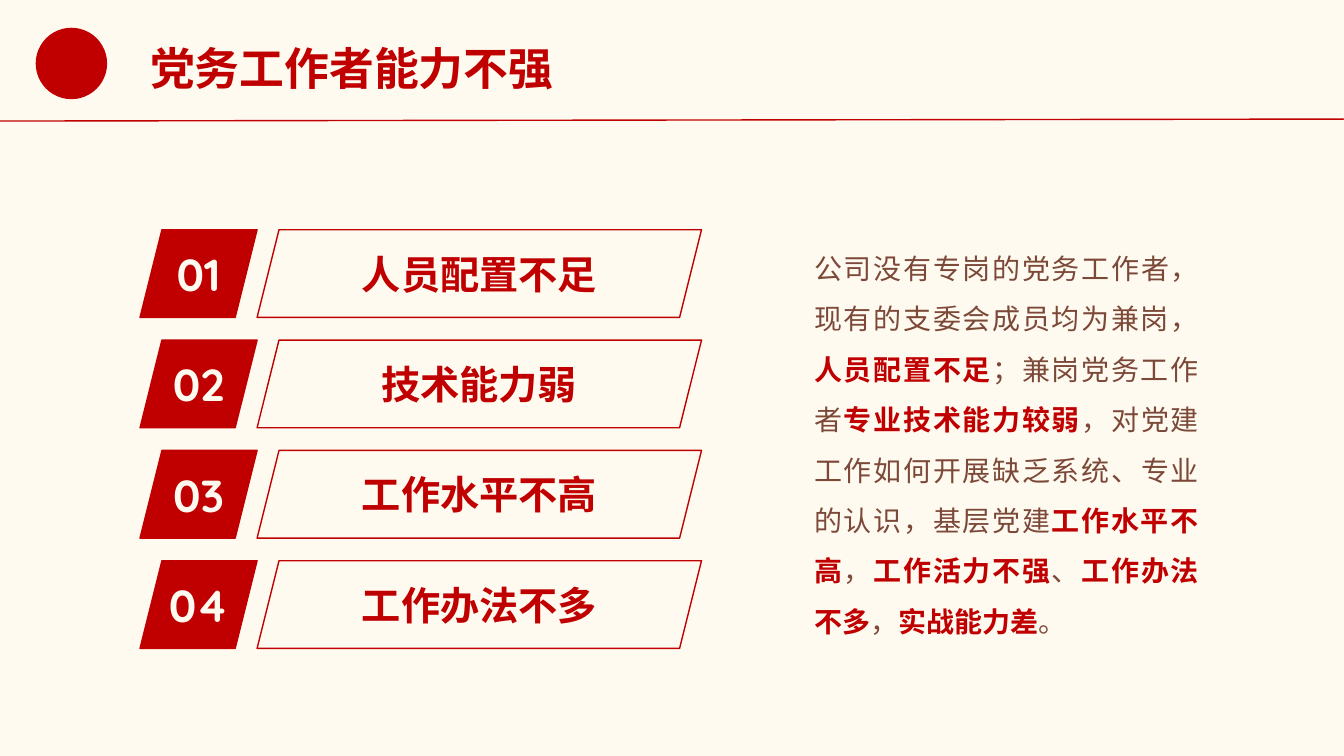
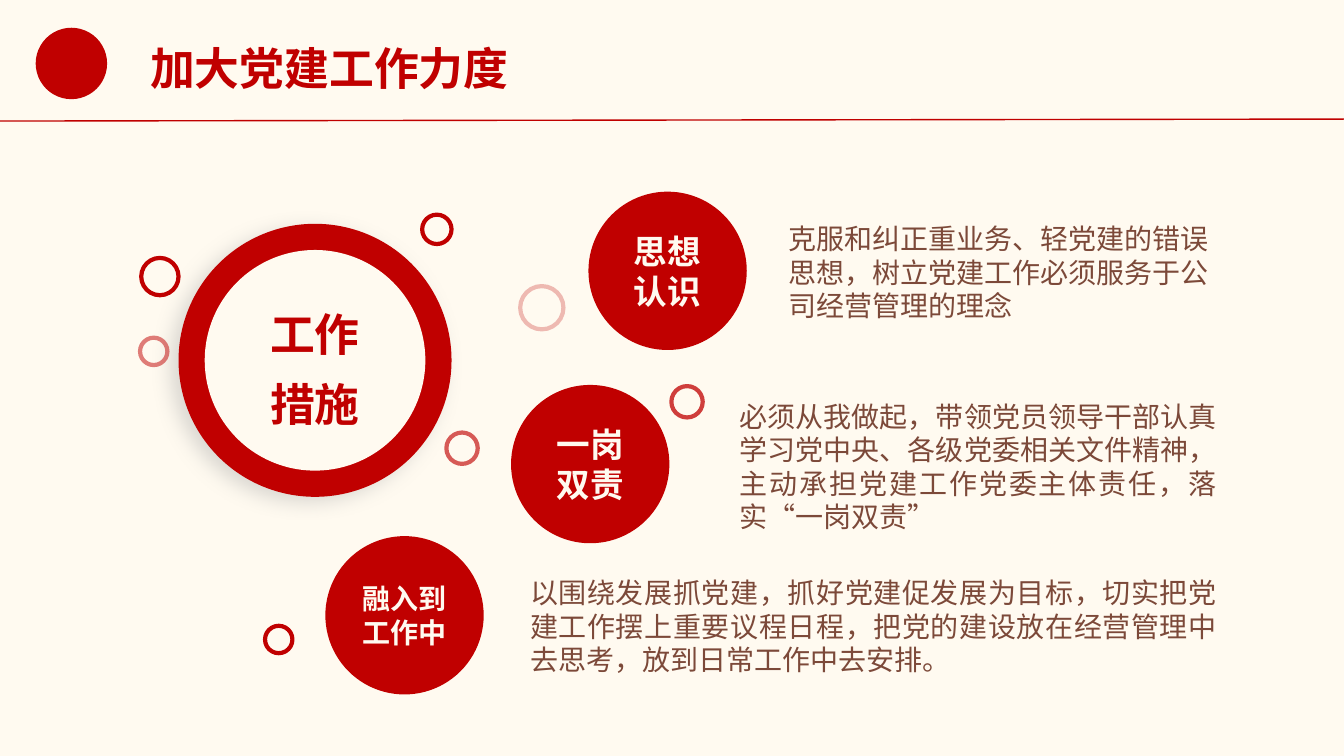
from lxml import etree
from pptx import Presentation
from pptx.dml.color import RGBColor
from pptx.enum.shapes import MSO_CONNECTOR, MSO_SHAPE
from pptx.enum.text import MSO_ANCHOR, PP_ALIGN
from pptx.oxml.ns import qn
from pptx.util import Cm, Pt

OVAL, SLANTED = MSO_SHAPE.OVAL, MSO_SHAPE.PARALLELOGRAM
STRAIGHT = MSO_CONNECTOR.STRAIGHT
LEFT, CENTER, JUSTIFY = PP_ALIGN.LEFT, PP_ALIGN.CENTER, PP_ALIGN.JUSTIFY
TOP, MIDDLE = MSO_ANCHOR.TOP, MSO_ANCHOR.MIDDLE

RED, CREAM, BROWN = "C00000", "FFFAF0", "7C4939"
CJK, LATIN = "Noto Sans CJK SC", "Quicksand"
rgb = RGBColor.from_string


def set_font(tf, size, color, bold=False, name=CJK):
    for p in tf.paragraphs:
        for r in p.runs:
            r.font.size, r.font.bold, r.font.name = Pt(size), bold, name
            r.font.color.rgb = rgb(color)
            etree.SubElement(r.font._element, qn("a:ea"), typeface=name)


def add_shape(shapes, kind, box, fill=None, line=None, width=1, text="",
              size=32, color=CREAM, name=CJK):
    sp = shapes.add_shape(kind, *[Cm(v) for v in box])
    sp.shadow.inherit = False
    if fill:
        sp.fill.solid()
        sp.fill.fore_color.rgb = rgb(fill)
    else:
        sp.fill.background()
    if line:
        sp.line.color.rgb = rgb(line)
        sp.line.width = Pt(width)
    else:
        sp.line.fill.background()
    if text:
        tf = sp.text_frame
        tf.text = text
        tf.vertical_anchor = MIDDLE
        for p in tf.paragraphs:
            p.alignment = CENTER
        set_font(tf, size, color, True, name)
    return sp


prs = Presentation()
prs.slide_width, prs.slide_height = Cm(33.87), Cm(19.05)
background = prs.slide_master.background.fill
background.solid()
background.fore_color.rgb = rgb(CREAM)

# Shared header: badge, rule and title
slides = []
for title in ("党务工作者能力不强", "加大党建工作力度"):
    s = prs.slides.add_slide(prs.slide_layouts[5])
    add_shape(s.shapes, OVAL, (0.9, 0.7, 1.8, 1.8), RED)
    rule = s.shapes.add_connector(STRAIGHT, 0, Cm(3.05), prs.slide_width, Cm(3))
    rule.line.color.rgb = rgb(RED)
    rule.line.width = Pt(1)
    etree.SubElement(rule._element.spPr, qn("a:effectLst"))
    sp = s.shapes.title
    sp.left, sp.top = Cm(3.53), Cm(0.91)
    sp.width, sp.height = Cm(0.6 + 1.13 * len(title)), Cm(1.63)
    tf = sp.text_frame
    tf.text = title
    tf.word_wrap = False
    tf.vertical_anchor = TOP
    tf.paragraphs[0].alignment = LEFT
    set_font(tf, 32, RED, True)
    slides.append(s)

# Slide 1: numbered shortcomings
s = slides[0]
shortcomings = ["人员配置不足", "技术能力弱", "工作水平不高", "工作办法不多"]
for i, text in enumerate(shortcomings):
    top = 5.79 + 2.78 * i
    number = add_shape(s.shapes, SLANTED, (3.53, top, 2.95, 2.21), RED, RED,
                       text=f"{i + 1:02}", name=LATIN)
    number.text_frame.margin_left = number.text_frame.margin_right = 0
    add_shape(s.shapes, SLANTED, (6.48, top, 11.2, 2.21), None, RED,
              text=text, size=28, color=RED)

# Slide 1: explanation, every second phrase emphasised
phrases = [
    "公司没有专岗的党务工作者，现有的支委会成员均为兼岗，", "人员配置不足",
    "；兼岗党务工作者", "专业技术能力较弱",
    "，对党建工作如何开展缺乏系统、专业的认识，基层党建", "工作水平不高",
    "，", "工作活力不强", "、", "工作办法不多", "，", "实战能力差", "。",
]
tf = s.shapes.add_textbox(Cm(20.27), Cm(5.79), Cm(10.19), Cm(10.52)).text_frame
tf.word_wrap = True
p = tf.paragraphs[0]
p.alignment, p.line_spacing = JUSTIFY, 1.5
for phrase in phrases:
    p.add_run().text = phrase
set_font(tf, 20, BROWN)
for r in p.runs[1::2]:
    r.font.bold = True
    r.font.color.rgb = rgb(RED)

# Slide 2: measures, each a disc with its description
s = slides[1]
measures = [
    ("思想认识", 24, (14.83, 4.83), (19.61, 5.46, 11.3, 2.82), LEFT,
     "克服和纠正重业务、轻党建的错误思想，树立党建工作必须服务于公司经营管理的理念"),
    ("一岗双责", 24, (12.88, 9.7), (18.39, 9.93, 12.52, 3.68), JUSTIFY,
     "必须从我做起，带领党员领导干部认真学习党中央、各级党委相关文件精神，"
     "主动承担党建工作党委主体责任，落实“一岗双责”"),
    ("融入到工作中", 20, (8.2, 13.51), (13.11, 14.38, 17.81, 2.82), JUSTIFY,
     "以围绕发展抓党建，抓好党建促发展为目标，切实把党建工作摆上重要议程日程，"
     "把党的建设放在经营管理中去思考，放到日常工作中去安排。"),
]
for name, size, corner, box, align, text in measures:
    add_shape(s.shapes, OVAL, (*corner, 3.99, 3.99), RED, text=name, size=size)
    tf = s.shapes.add_textbox(*[Cm(v) for v in box]).text_frame
    tf.text = text
    tf.word_wrap = True
    tf.paragraphs[0].alignment = align
    set_font(tf, 20, BROWN)

# Slide 2: central ring with a soft shadow
ring = s.shapes.add_group_shape().shapes
outer = add_shape(ring, OVAL, (4.5, 5.64, 6.88, 6.88), RED)
effects = outer._element.spPr.find(qn("a:effectLst"))
shadow = etree.SubElement(effects, qn("a:outerShdw"), blurRad=str(Pt(14)),
                          dist=str(Pt(7)), dir=str(150 * 60000),
                          algn="ctr", rotWithShape="0")
tint = etree.SubElement(shadow, qn("a:srgbClr"), val="A6A6A6")
etree.SubElement(tint, qn("a:alpha"), val="40000")
inner = add_shape(ring, OVAL, (5.16, 6.3, 5.56, 5.56), CREAM,
                  text="工作\n措施", color=RED)
tf = inner.text_frame
tf.margin_left = tf.margin_right = tf.margin_top = tf.margin_bottom = 0
for p in tf.paragraphs:
    p.line_spacing = 1.3

# Slide 2: small rings as left, top, diameter, opacity in percent
for left, top, size, opacity in [
    (13.11, 7.21, 1.09, 25), (16.92, 9.73, 0.79, 75), (6.68, 15.77, 0.69, 100),
    (3.53, 8.51, 0.69, 50), (3.56, 6.5, 0.94, 100), (11.25, 10.9, 0.79, 63),
    (10.64, 5.41, 0.74, 100),
]:
    sp = add_shape(s.shapes, OVAL, (left, top, size, size), None, RED, 3)
    if opacity < 100:
        color = sp.line._ln.find(".//" + qn("a:srgbClr"))
        etree.SubElement(color, qn("a:alpha"), val=str(opacity * 1000))

prs.save("out.pptx")
